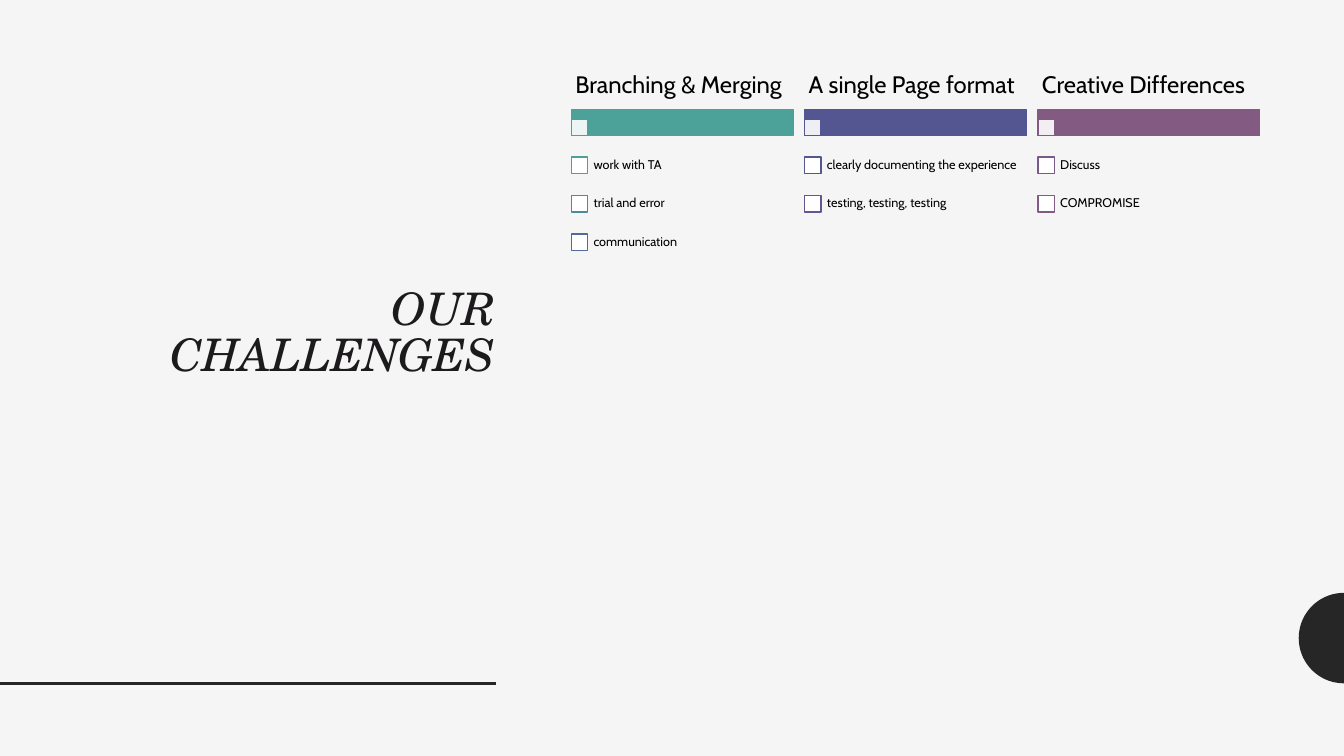
"""Build the "Our challenges" slide with three checklist columns."""
import math

import lxml.etree
import pptx
import pptx.dml.color
import pptx.enum.shapes
import pptx.enum.text
import pptx.oxml.ns
import pptx.util

Cm = pptx.util.Cm
Pt = pptx.util.Pt
RGBColor = pptx.dml.color.RGBColor
PP_ALIGN = pptx.enum.text.PP_ALIGN

COLORS = {
    "background": "F5F5F5",
    "dark": "262626",
    "title": "1D1A1D",
    "text": "000000",
    "box": "FFFFFF",
    "teal": "4CA198",
    "blue teal": "4F899C",
    "steel": "516D97",
    "indigo": "545692",
    "violet": "67568D",
    "purple": "785988",
    "plum": "835B82",
}
COLUMNS = [
    ("Branching & Merging", "teal", [
        ("work with TA", "teal"),
        ("trial and error", "blue teal"),
        ("communication", "steel"),
    ]),
    ("A single Page format", "indigo", [
        ("clearly documenting the experience", "indigo"),
        ("testing, testing, testing", "violet"),
    ]),
    ("Creative Differences", "plum", [
        ("Discuss", "purple"),
        ("COMPROMISE", "plum"),
    ]),
]
COLUMN_LEFT, COLUMN_STEP, COLUMN_WIDTH = 14.4, 5.88, 5.59
ROW_TOP, ROW_STEP = 3.68, 0.97
BOX_SIZE, LABEL_INDENT = 0.41, 0.38

presentation = pptx.Presentation()
presentation.slide_width = Cm(33.87)
presentation.slide_height = Cm(19.05)
slide = presentation.slides.add_slide(presentation.slide_layouts[6])
slide.background.fill.solid()
slide.background.fill.fore_color.rgb = RGBColor.from_string(COLORS["background"])


def add_rectangle(left, top, width, height, fill, line):
    shape = slide.shapes.add_shape(
        pptx.enum.shapes.MSO_SHAPE.RECTANGLE, Cm(left), Cm(top), Cm(width), Cm(height))
    shape.shadow.inherit = False
    shape.fill.solid()
    shape.fill.fore_color.rgb = RGBColor.from_string(COLORS[fill])
    shape.line.color.rgb = RGBColor.from_string(COLORS[line])
    shape.line.width = Pt(1)
    return shape


def add_text(text, left, top, width, height, font, size, color, spacing, insets):
    frame = slide.shapes.add_textbox(Cm(left), Cm(top), Cm(width), Cm(height)).text_frame
    frame.word_wrap = True
    frame.vertical_anchor = pptx.enum.text.MSO_ANCHOR.MIDDLE
    frame.margin_left = frame.margin_right = Cm(insets[0])
    frame.margin_top = frame.margin_bottom = Cm(insets[1])
    frame.text = text
    paragraph = frame.paragraphs[0]
    paragraph.line_spacing = spacing
    run_font = paragraph.runs[0].font
    run_font.name = font
    run_font.size = Pt(size)
    run_font.color.rgb = RGBColor.from_string(COLORS[color])
    return paragraph


center_x, center_y, radius = Cm(33.87), Cm(16.08), Cm(1.14)
arc = [
    (center_x - radius * math.sin(math.radians(angle)),
     center_y - radius * math.cos(math.radians(angle)))
    for angle in range(0, 181, 5)
]
builder = slide.shapes.build_freeform(*arc[0])
builder.add_line_segments(arc[1:], close=True)
half_circle = builder.convert_to_shape()
half_circle.shadow.inherit = False
half_circle.fill.solid()
half_circle.fill.fore_color.rgb = RGBColor.from_string(COLORS["dark"])
half_circle.line.fill.background()

rule = slide.shapes.add_connector(
    pptx.enum.shapes.MSO_CONNECTOR.STRAIGHT, Cm(0), Cm(17.22), Cm(12.5), Cm(17.22))
rule.line.color.rgb = RGBColor.from_string(COLORS["dark"])
rule.line.width = Pt(2)
lxml.etree.SubElement(rule.element.spPr, pptx.oxml.ns.qn("a:effectLst"))

title = add_text("OUR CHALLENGES", 2.11, 1.55, 10.64, 13.77,
                 "TeX Gyre Schola", 32, "title", 0.85, (0.25, 0.13))
title.alignment = PP_ALIGN.RIGHT
title.runs[0].font.italic = True

for column, (heading, color, items) in enumerate(COLUMNS):
    left = COLUMN_LEFT + column * COLUMN_STEP
    add_rectangle(left, 2.76, COLUMN_WIDTH, 0.66, color, color)
    marker = add_rectangle(left, 3.01, BOX_SIZE, BOX_SIZE, "box", color)
    marker_color = marker.element.spPr.find(".//" + pptx.oxml.ns.qn("a:srgbClr"))
    lxml.etree.SubElement(marker_color, pptx.oxml.ns.qn("a:alpha"), val="90000")
    add_text(heading, left, 1.57, COLUMN_WIDTH, 1.19,
             "Cabin", 17, "text", 0.9, (0.1, 0.05))
    for row, (label, outline) in enumerate(items):
        top = ROW_TOP + row * ROW_STEP
        add_rectangle(left, top + (ROW_STEP - BOX_SIZE) / 2, BOX_SIZE, BOX_SIZE, "box", outline)
        add_text(label, left + LABEL_INDENT, top, COLUMN_WIDTH - LABEL_INDENT, ROW_STEP,
                 "Cabin", 9, "text", 0.9, (0.18, 0.18))

presentation.save("out.pptx")
